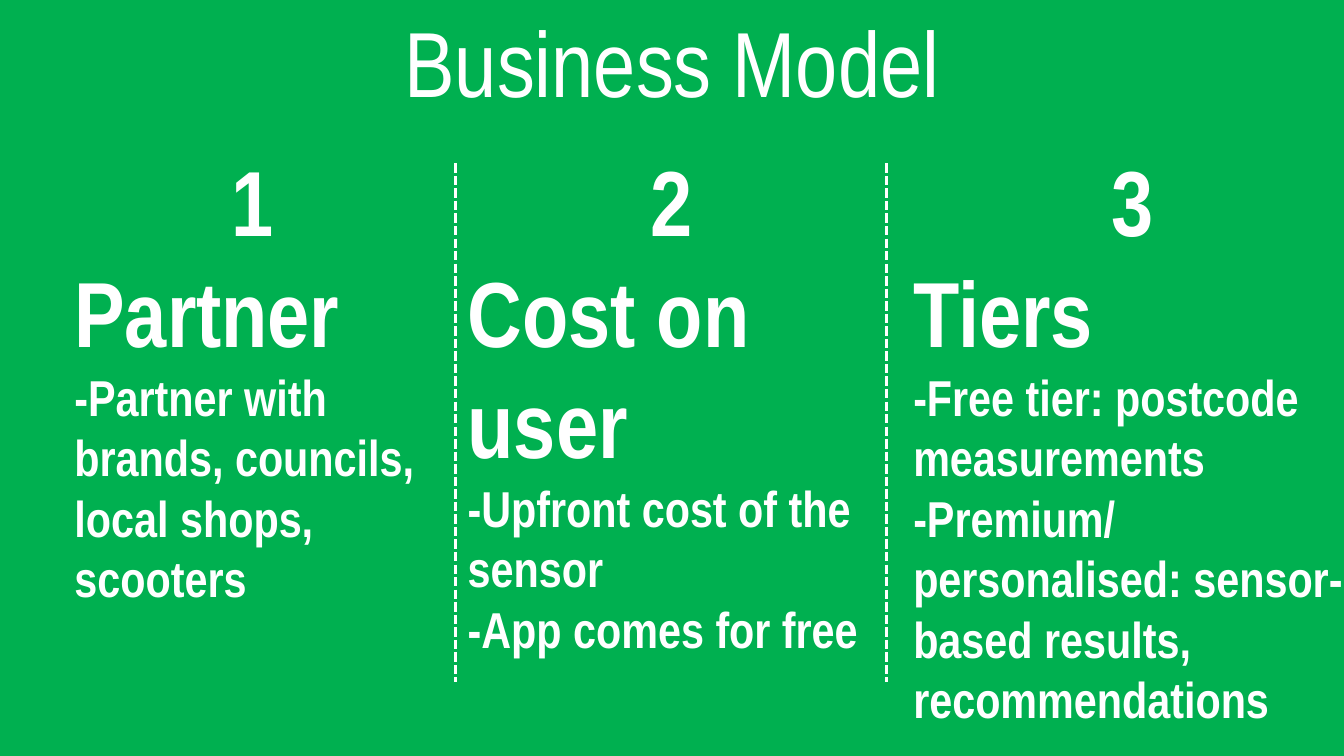
from dataclasses import dataclass

from lxml.etree import SubElement
from pptx import Presentation
from pptx.dml.color import RGBColor
from pptx.enum.dml import MSO_LINE
from pptx.enum.shapes import MSO_CONNECTOR, MSO_SHAPE
from pptx.enum.text import MSO_AUTO_SIZE, PP_ALIGN
from pptx.oxml.ns import qn
from pptx.util import Inches, Pt


@dataclass(frozen=True)
class Theme:
    green: RGBColor = RGBColor(0x00, 0xB0, 0x50)
    white: RGBColor = RGBColor(0xFF, 0xFF, 0xFF)
    font: str = "Arial Narrow"
    heading: Pt = Pt(66)
    detail: Pt = Pt(36)
    divider: Pt = Pt(2.25)


theme = Theme()


def add_text(slide, left, top, width, height, lines, bold):
    box = slide.shapes.add_textbox(Inches(left), Inches(top), Inches(width), Inches(height))
    frame = box.text_frame
    frame.word_wrap = True
    frame.auto_size = MSO_AUTO_SIZE.SHAPE_TO_FIT_TEXT
    frame.text = "\n".join(lines)
    frame.paragraphs[0].alignment = PP_ALIGN.CENTER
    for paragraph in frame.paragraphs:
        for run in paragraph.runs:
            run.font.name = theme.font
            run.font.size = theme.detail if run.text.startswith("-") else theme.heading
            run.font.bold = bold
            run.font.color.rgb = theme.white


deck = Presentation()
deck.slide_width = Inches(13.33)
deck.slide_height = Inches(7.5)
slide = deck.slides.add_slide(deck.slide_layouts[6])

backdrop = slide.shapes.add_shape(MSO_SHAPE.RECTANGLE, 0, 0, deck.slide_width, deck.slide_height)
backdrop.shadow.inherit = False
backdrop.fill.solid()
backdrop.fill.fore_color.rgb = theme.green
backdrop.line.fill.background()

add_text(slide, 0, 0, 13.33, 1.21, ["Business Model"], False)

for x in (4.52, 8.79):
    divider = slide.shapes.add_connector(
        MSO_CONNECTOR.STRAIGHT, Inches(x), Inches(1.62), Inches(x), Inches(6.77)
    )
    divider.line.color.rgb = theme.white
    divider.line.width = theme.divider
    divider.line.dash_style = MSO_LINE.SQUARE_DOT
    SubElement(divider._element.spPr, qn("a:effectLst"))

strategies = [
    (0.64, 3.74, 5.86, ["Partner", "-Partner with brands, councils, local shops, scooters"]),
    (4.54, 4.25, 4.14, ["Cost on user\v-Upfront cost of the sensor", "-App comes for free"]),
    (8.96, 4.54, 5.35, [
        "Tiers",
        "-Free tier: postcode measurements",
        "-Premium/personalised: sensor-based results, recommendations",
    ]),
]
for number, (left, width, height, lines) in enumerate(strategies, start=1):
    add_text(slide, left, 1.38, width, height, [str(number), *lines], True)

deck.save("out.pptx")
